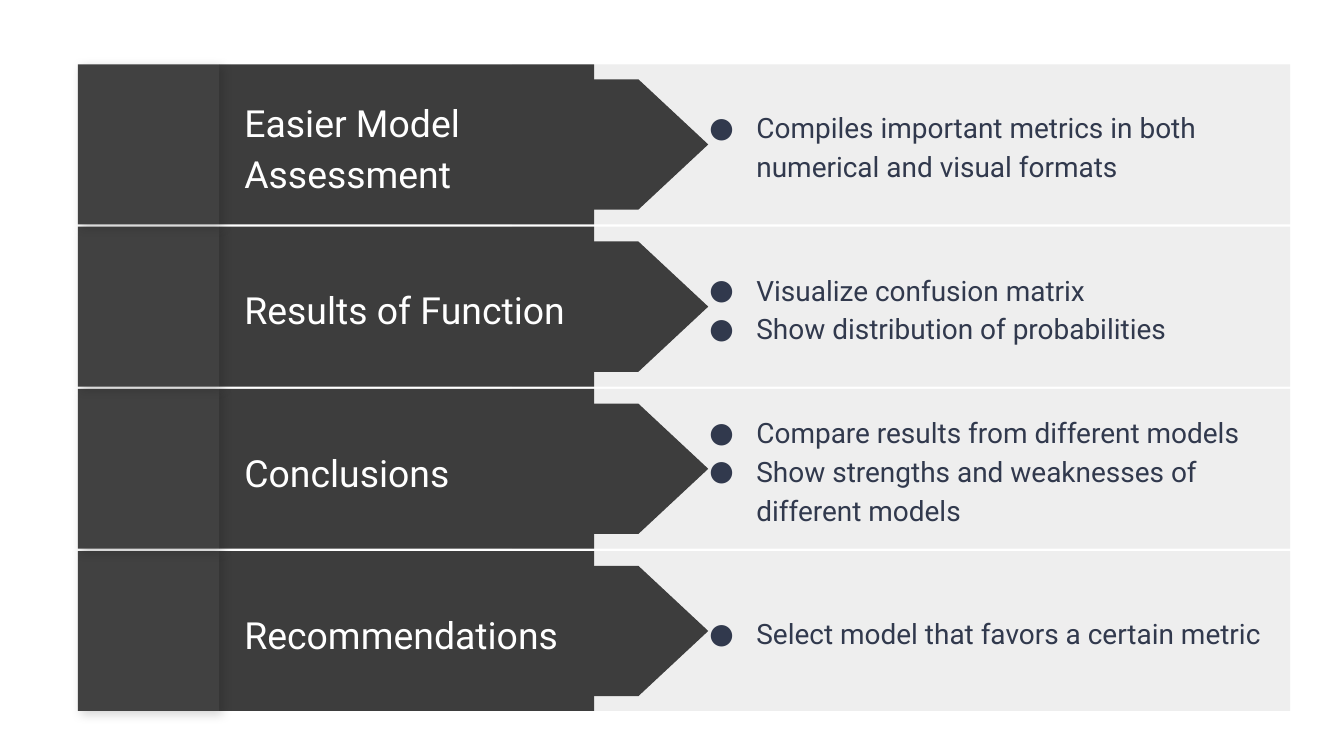
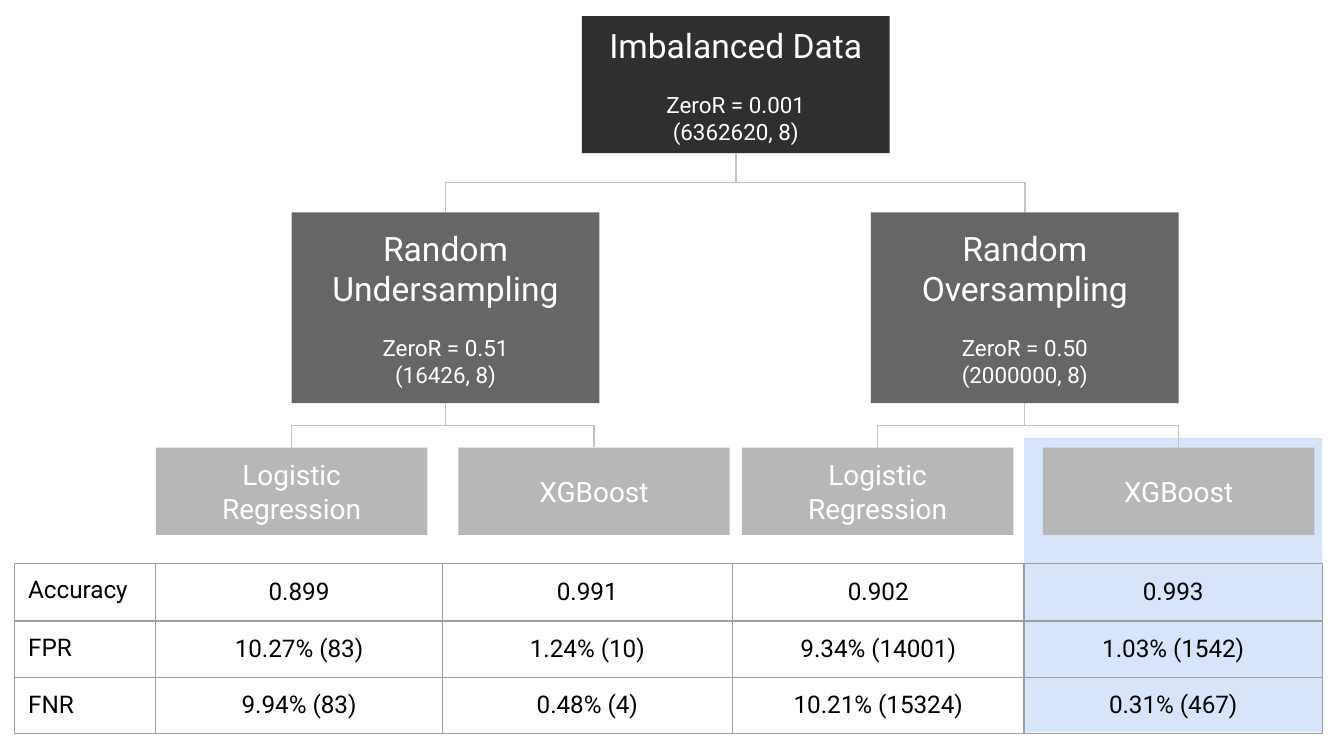
from dataclasses import dataclass

from lxml import etree
from pptx import Presentation
from pptx.dml.color import RGBColor
from pptx.enum import shapes, text
from pptx.oxml import ns
from pptx.util import Inches, Pt


@dataclass(frozen=True)
class Theme:
    font: str = "Roboto"
    white: str = "FFFFFF"
    black: str = "000000"
    panel: str = "EEEEEE"
    label: str = "3D3D3D"
    band: str = "414141"
    bullet: str = "31394D"
    root: str = "2F2F2F"
    branch: str = "666666"
    leaf: str = "B7B7B7"
    connector: str = "C2C2C2"
    border: str = "9E9E9E"
    highlight: str = "A4C2F4"
    label_size: int = 20
    node_size: int = 18
    body_size: int = 15
    cell_size: int = 13
    stat_size: int = 12
    line_width: float = 0.75
    inset: float = 0.1


THEME = Theme()
RECT = shapes.MSO_SHAPE.RECTANGLE
ARROW = shapes.MSO_SHAPE.FLOWCHART_OFFPAGE_CONNECTOR
LEFT, CENTER = text.PP_ALIGN.LEFT, text.PP_ALIGN.CENTER
MIDDLE, TOP = text.MSO_ANCHOR.MIDDLE, text.MSO_ANCHOR.TOP

BENEFITS = [
    ("Easier Model Assessment",
     ["Compiles important metrics in both numerical and visual formats"]),
    ("Results of Function",
     ["Visualize confusion matrix", "Show distribution of probabilities"]),
    ("Conclusions",
     ["Compare results from different models",
      "Show strengths and weaknesses of different models"]),
    ("Recommendations", ["Select model that favors a certain metric"]),
]
ROOT = ("Imbalanced Data", "ZeroR = 0.001", "(6362620, 8)")
BRANCHES = [
    (2.17, ("Random Undersampling", "ZeroR = 0.51", "(16426, 8)"), (1.16, 3.41)),
    (6.48, ("Random Oversampling", "ZeroR = 0.50", "(2000000, 8)"), (5.52, 7.76)),
]
MODELS = ("Logistic Regression", "XGBoost")
METRICS = [
    ("Accuracy", "0.899", "0.991", "0.902", "0.993"),
    ("FPR", "10.27% (83)", "1.24% (10)", "9.34% (14001)", "1.03% (1542)"),
    ("FNR", "9.94% (83)", "0.48% (4)", "10.21% (15324)", "0.31% (467)"),
]
COLUMN_WIDTHS = (1.05, 2.13, 2.16, 2.17, 2.22)
ROW_HEIGHTS = (0.43, 0.42, 0.42)


def add_xml(parent, tag, **attrs):
    return etree.SubElement(parent, ns.qn(tag), {k: str(v) for k, v in attrs.items()})


def add_color(parent, color, alpha=None):
    clr = add_xml(parent, "a:srgbClr", val=color)
    if alpha is not None:
        add_xml(clr, "a:alpha", val=alpha * 1000)


def add_block(slide, x, y, w, h, color, kind=RECT):
    sp = slide.shapes.add_shape(kind, Inches(x), Inches(y), Inches(w), Inches(h))
    sp.shadow.inherit = False
    sp.fill.solid()
    sp.fill.fore_color.rgb = RGBColor.from_string(color)
    sp.line.fill.background()
    return sp


def add_shadow(sp):
    effects = sp._element.spPr.find(ns.qn("a:effectLst"))
    shadow = add_xml(effects, "a:outerShdw", blurRad=Pt(5.6), dist=Pt(2.2),
                     dir=45 * 60000, algn="bl", rotWithShape=0)
    add_color(shadow, THEME.black, 17)


def set_margins(target):
    margin = Inches(THEME.inset)
    target.margin_left = target.margin_right = margin
    target.margin_top = target.margin_bottom = margin


def write(tf, lines, size, color, align=LEFT):
    tf.text = "\n".join(lines)
    for p in tf.paragraphs:
        p.alignment = align
        for r in p.runs:
            r.font.name = THEME.font
            r.font.size = Pt(size)
            r.font.color.rgb = RGBColor.from_string(color)


def fill_text(sp, lines, size, color, align=LEFT):
    tf = sp.text_frame
    tf.word_wrap = True
    tf.vertical_anchor = MIDDLE
    set_margins(tf)
    write(tf, lines, size, color, align)
    return tf


def add_text(slide, x, y, w, h, lines, size, color):
    sp = slide.shapes.add_textbox(Inches(x), Inches(y), Inches(w), Inches(h))
    tf = fill_text(sp, lines, size, color)
    for p in tf.paragraphs:
        p.line_spacing = 1.15
    return tf


def add_bullets(tf):
    for p in tf.paragraphs:
        if len(tf.paragraphs) == 1:
            p.space_after = Pt(10)
        pPr = p._p.get_or_add_pPr()
        pPr.set("marL", str(Inches(0.5)))
        pPr.set("indent", str(Inches(-0.35)))
        add_color(add_xml(pPr, "a:buClr"), THEME.bullet)
        add_xml(pPr, "a:buSzPts", val=THEME.body_size * 100)
        add_xml(pPr, "a:buFont", typeface=THEME.font)
        add_xml(pPr, "a:buChar", char="●")


def add_benefit(slide, y, heading, points):
    h, arrow_w, arrow_h = 1.19, 0.97, 2.6
    add_block(slide, 3.81, y, 5.79, h, THEME.panel)
    add_block(slide, 1.63, y, 2.79, h, THEME.label)
    arrow = add_block(slide, 3.97 - arrow_w / 2, y + (h - arrow_h) / 2,
                      arrow_w, arrow_h, THEME.label, ARROW)
    arrow.rotation = 270
    add_text(slide, 1.72, y + 0.14, 2.94, 0.91, [heading],
             THEME.label_size, THEME.white)
    add_shadow(add_block(slide, 0.58, y, 1.05, h, THEME.band))
    add_bullets(add_text(slide, 5.03, y, 4.57, h, points,
                         THEME.body_size, THEME.bullet))


def add_node(slide, x, y, h, color, lines):
    sp = add_block(slide, x, y, 2.29, h, color)
    tf = fill_text(sp, lines, THEME.node_size, THEME.white, CENTER)
    for p in tf.paragraphs[1:]:
        p.runs[0].font.size = Pt(THEME.stat_size)
    tf.paragraphs[1].space_before = Pt(14)
    return sp


def add_leaf(slide, x, name):
    sp = add_block(slide, x, 3.33, 2.02, 0.65, THEME.leaf)
    tf = fill_text(sp, [name], THEME.body_size, THEME.white, CENTER)
    tf.margin_left = tf.margin_right = Inches(0.12)
    return sp


def add_link(slide, parent, child):
    x1, y1 = parent.left + parent.width // 2, parent.top + parent.height
    x2, y2 = child.left + child.width // 2, child.top
    mid_x, mid_y = (x1 + x2) // 2, (y1 + y2) // 2
    half_run, half_drop = abs(x2 - x1) // 2, (y2 - y1) // 2
    side = half_drop if x2 > x1 else -half_drop
    cn = slide.shapes.add_connector(
        shapes.MSO_CONNECTOR.ELBOW, mid_x + side, mid_y - half_run,
        mid_x - side, mid_y + half_run)
    cn.line.color.rgb = RGBColor.from_string(THEME.connector)
    cn.line.width = Pt(THEME.line_width)
    spPr = cn._element.spPr
    spPr.get_or_add_xfrm().rot = 270
    add_xml(spPr, "a:effectLst")


def add_borders(cell):
    tcPr = cell._tc.get_or_add_tcPr()
    for i, side in enumerate(("a:lnL", "a:lnR", "a:lnT", "a:lnB")):
        ln = etree.Element(ns.qn(side), w=str(Pt(THEME.line_width)))
        add_color(add_xml(ln, "a:solidFill"), THEME.border)
        tcPr.insert(i, ln)


def add_metrics(slide, x, y):
    frame = slide.shapes.add_table(
        len(METRICS), len(COLUMN_WIDTHS), Inches(x), Inches(y),
        Inches(sum(COLUMN_WIDTHS)), Inches(sum(ROW_HEIGHTS)))
    table = frame.table
    table.first_row = table.horz_banding = False
    for column, w in zip(table.columns, COLUMN_WIDTHS):
        column.width = Inches(w)
    for row, h, values in zip(table.rows, ROW_HEIGHTS, METRICS):
        row.height = Inches(h)
        for i, (cell, value) in enumerate(zip(row.cells, values)):
            cell.fill.background()
            cell.vertical_anchor = MIDDLE if i else TOP
            set_margins(cell)
            write(cell.text_frame, [value], THEME.cell_size, THEME.black,
                  CENTER if i else LEFT)
            add_borders(cell)


def build_benefits(slide):
    top, bottom = 0.48, 4.1
    pitch = (bottom - top) / (len(BENEFITS) - 1)
    for i, (heading, points) in reversed(list(enumerate(BENEFITS))):
        add_benefit(slide, top + i * pitch, heading, points)


def build_comparison(slide):
    highlight = add_block(slide, 7.62, 3.26, 2.22, 2.19, THEME.highlight)
    clr = highlight._element.spPr.find(".//" + ns.qn("a:srgbClr"))
    add_xml(clr, "a:alpha", val=43000)
    root = add_node(slide, 4.33, 0.12, 1.02, THEME.root, ROOT)
    for x, lines, leaf_lefts in BRANCHES:
        branch = add_node(slide, x, 1.58, 1.42, THEME.branch, lines)
        add_link(slide, root, branch)
        for leaf_x, name in zip(leaf_lefts, MODELS):
            add_link(slide, branch, add_leaf(slide, leaf_x, name))
    add_metrics(slide, 0.11, 4.19)


def main():
    prs = Presentation()
    prs.slide_width = Inches(10)
    prs.slide_height = Inches(10 * 9 / 16)
    blank = prs.slide_layouts[6]
    for build in (build_benefits, build_comparison):
        build(prs.slides.add_slide(blank))
    prs.save("out.pptx")


if __name__ == "__main__":
    main()
